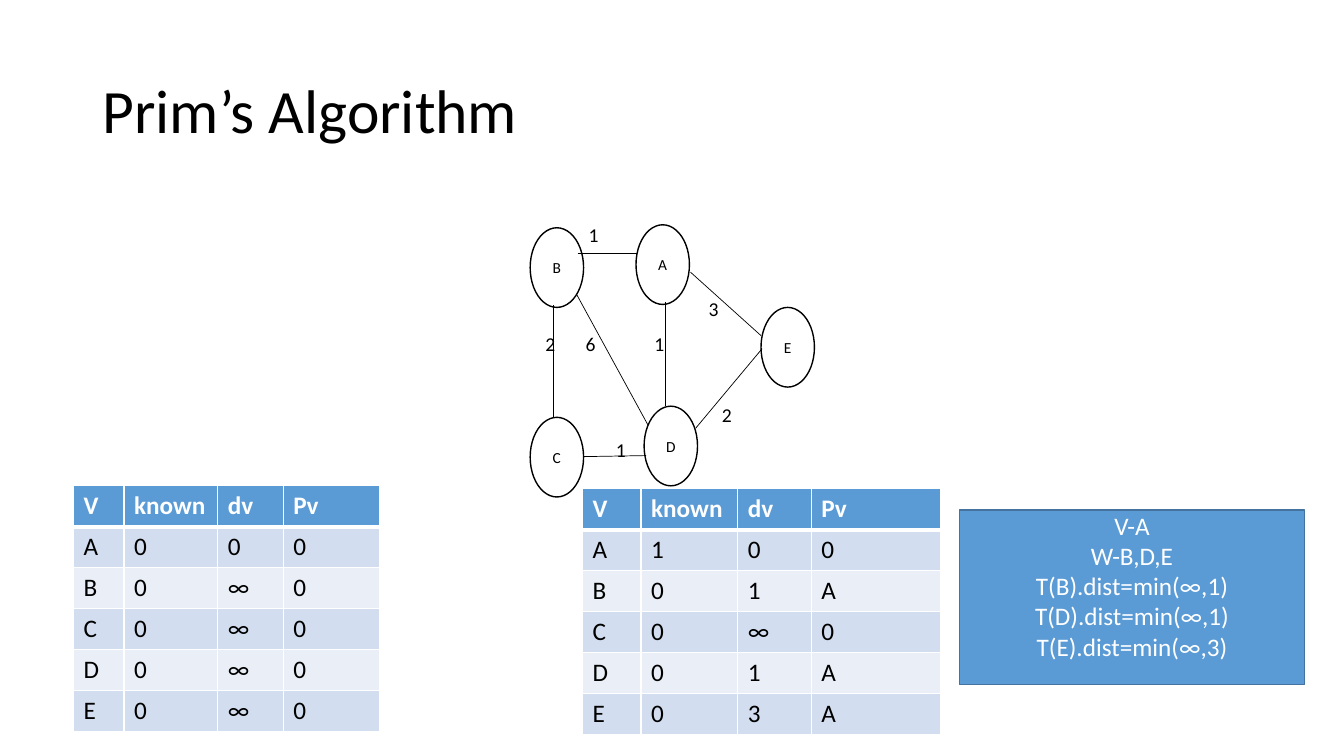
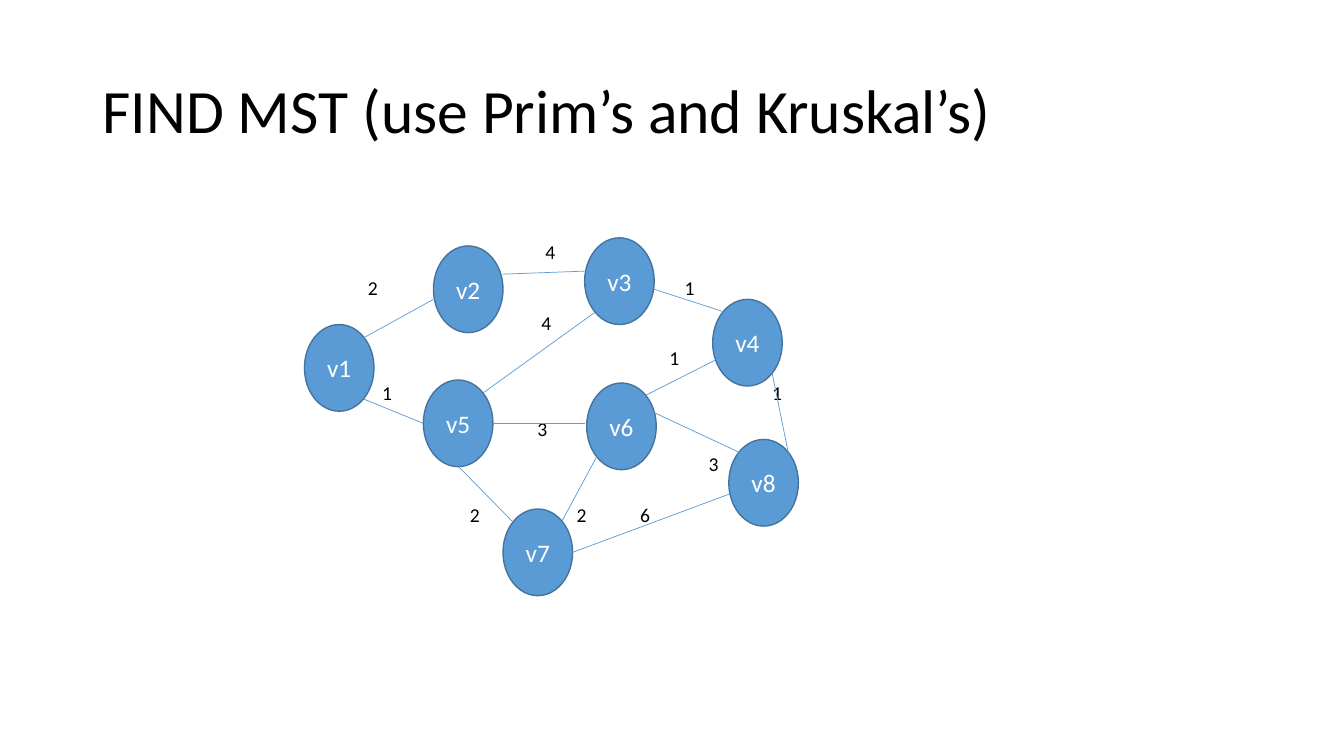
from typing import NamedTuple

from lxml.etree import SubElement
from pptx import Presentation
from pptx.dml.color import RGBColor
from pptx.enum.shapes import MSO_CONNECTOR, MSO_SHAPE
from pptx.enum.text import MSO_ANCHOR, PP_ALIGN
from pptx.oxml.ns import qn
from pptx.util import Inches, Pt

BLACK = RGBColor(0x00, 0x00, 0x00)
WHITE = RGBColor(0xFF, 0xFF, 0xFF)
BLUE = RGBColor(0x5B, 0x9B, 0xD5)
DARK_BLUE = RGBColor(0x43, 0x73, 0x9E)
BAND_DARK = RGBColor(0xD2, 0xDE, 0xEF)
BAND_LIGHT = RGBColor(0xEA, 0xEF, 0xF7)

FONT = "Calibri"
CELL = Inches(0.1)
COLUMNS, ROWS = 133.33, 75
TABLE_ROW = 4.06
WEIGHT_SIZE = 3


class Box(NamedTuple):
    """A region in grid columns and rows."""
    left: float
    top: float
    width: float
    height: float

    def inner(self, left, top, width, height):
        """Return a region placed relative to this one."""
        return Box(self.left + left, self.top + top, width, height)

    def lengths(self):
        """Return the region as slide lengths."""
        return [grid(value) for value in self]


class Edge(NamedTuple):
    """A weighted line and the centre of its weight."""
    start: tuple
    end: tuple
    weight: str
    weight_at: tuple


class GraphStyle(NamedTuple):
    """The look of the nodes and edges of a graph."""
    node_width: float
    node_height: float
    fill: RGBColor
    outline: RGBColor
    ink: RGBColor
    size: int
    edge: RGBColor


TITLE = Box(9.2, 4, 115, 14.5)
TRACE_GRAPH = Box(50, 20, 32, 30)
EXERCISE_GRAPH = Box(30, 20, 50, 40)
START_TABLE = Box(7.3, 48.2, 30.4, 24.3)
STEP_TABLE = Box(57.8, 48.5, 35.5, 24.3)
UPDATE_NOTE = Box(95.2, 50.6, 34.2, 17.3)

OUTLINED = GraphStyle(5.3, 7.9, WHITE, BLACK, BLACK, 11, BLACK)
FILLED = GraphStyle(6.9, 8.6, BLUE, DARK_BLUE, WHITE, 18, BLUE)

TRACE_NODES = {
    "B": (2.6, 2.6), "E": (25.5, 10.5), "C": (2.6, 21.4),
    "D": (13.9, 20.3), "A": (13.1, 2.3),
}
TRACE_EDGES = [
    Edge((7.3, 5.1), (13.2, 5.1), "1", (8.9, 3.3)),
    Edge((4.9, 10.3), (4.9, 21.5), "2", (4.6, 14.1)),
    Edge((7.9, 25.3), (14.1, 25.2), "1", (11.6, 24.6)),
    Edge((16, 10), (16, 20.3), "1", (15.4, 14.1)),
    Edge((18.5, 7), (25.5, 13.3), "3", (20.8, 10.6)),
    Edge((19, 22.5), (25.6, 14.6), "2", (22.1, 21.1)),
    Edge((7.2, 9.2), (14.3, 22.2), "6", (8.6, 14.1)),
]
EXERCISE_NODES = {
    "v2": (13, 4.4), "v3": (28, 3.6), "v5": (12, 17.7), "v1": (0.2, 12.2),
    "v4": (40.7, 9.7), "v6": (28.2, 18), "v7": (19.9, 30.5), "v8": (42.3, 23.6),
}
EXERCISE_EDGES = [
    Edge((6.1, 13.5), (13, 9.7), "2", (7, 8.5)),
    Edge((19.9, 7.2), (28, 6.9), "4", (24.6, 5)),
    Edge((34.9, 8.7), (41.7, 10.9), "1", (38.4, 8.5)),
    Edge((6.1, 19.6), (12, 22), "1", (8.4, 19)),
    Edge((18.9, 22), (28, 22), "3", (23.8, 22.5)),
    Edge((15.5, 26.3), (20.9, 31.8), "2", (17.1, 31.1)),
    Edge((29.2, 25.3), (25.7, 31.8), "2", (27.7, 31.1)),
    Edge((26.8, 34.8), (42.4, 29), "6", (34, 31.1)),
    Edge((34.6, 20.8), (43.4, 24.9), "3", (40.8, 26)),
    Edge((46.6, 17), (48.2, 24.9), "1", (47.1, 19)),
    Edge((29, 11), (17.9, 19), "4", (24.2, 12)),
    Edge((34.1, 19.2), (41.6, 15.4), "1", (36.9, 15.5)),
]

HEADER = ("V", "known", "dv", "Pv")
START_ROWS = ["A000", "B0∞0", "C0∞0", "D0∞0", "E0∞0"]
STEP_ROWS = ["A100", "B01A", "C0∞0", "D01A", "E03A"]
UPDATES = ["V-A", "W-B,D,E", "T(B).dist=min(∞,1)",
           "T(D).dist=min(∞,1)", "T(E).dist=min(∞,3)"]


def grid(cells):
    """Return the length of a number of grid cells."""
    return round(cells * CELL)


def write(frame, lines, size, ink, align=PP_ALIGN.CENTER, bold=False):
    """Write one paragraph for each line in the shared font."""
    frame.word_wrap = True
    for number, line in enumerate(lines):
        paragraph = frame.add_paragraph() if number else frame.paragraphs[0]
        paragraph.text = line
        paragraph.alignment = align
        paragraph.font.name = FONT
        paragraph.font.size = Pt(size)
        paragraph.font.bold = bold
        paragraph.font.color.rgb = ink


def add_title(slide, box, title):
    """Add the slide title."""
    frame = slide.shapes.add_textbox(*box.lengths()).text_frame
    frame.vertical_anchor = MSO_ANCHOR.MIDDLE
    write(frame, [title], 44, BLACK, PP_ALIGN.LEFT)
    frame.paragraphs[0].line_spacing = 0.9


def add_panel(slide, preset, box, fill, outline):
    """Add an outlined shape and return its text frame without insets."""
    panel = slide.shapes.add_shape(preset, *box.lengths())
    panel.shadow.inherit = False
    panel.fill.solid()
    panel.fill.fore_color.rgb = fill
    panel.line.color.rgb = outline
    panel.line.width = Pt(1)
    return without_insets(panel.text_frame)


def without_insets(frame):
    """Return the text frame with all insets removed."""
    frame.margin_left = frame.margin_right = 0
    frame.margin_top = frame.margin_bottom = 0
    return frame


def add_weight(slide, box, edge):
    """Add the weight of an edge, centred on its point."""
    across, down = (value - WEIGHT_SIZE / 2 for value in edge.weight_at)
    place = box.inner(across, down, WEIGHT_SIZE, WEIGHT_SIZE)
    frame = without_insets(slide.shapes.add_textbox(*place.lengths()).text_frame)
    frame.vertical_anchor = MSO_ANCHOR.MIDDLE
    write(frame, [edge.weight], 14, BLACK)


def add_edge(slide, box, edge, color):
    """Add the line of an edge."""
    ends = [grid(origin + value) for point in (edge.start, edge.end)
            for origin, value in zip(box[:2], point)]
    line = slide.shapes.add_connector(MSO_CONNECTOR.STRAIGHT, *ends)
    line.line.color.rgb = color
    line.line.width = Pt(0.5)
    SubElement(line._element.spPr, qn("a:effectLst"))


def add_graph(slide, box, nodes, edges, style):
    """Add a weighted graph inside the box."""
    for edge in edges:
        add_weight(slide, box, edge)
    for label, corner in nodes.items():
        place = box.inner(*corner, style.node_width, style.node_height)
        frame = add_panel(slide, MSO_SHAPE.OVAL, place, style.fill, style.outline)
        frame.vertical_anchor = MSO_ANCHOR.MIDDLE
        write(frame, [label], style.size, style.ink)
    for edge in edges:
        add_edge(slide, box, edge, style.edge)


def add_borders(cell, bottom):
    """Give a table cell white borders."""
    properties = cell._tc.get_or_add_tcPr()
    for side, width in (("L", 1), ("R", 1), ("T", 1), ("B", bottom)):
        border = SubElement(properties, qn(f"a:ln{side}"), w=str(Pt(width)))
        paint = SubElement(border, qn("a:solidFill"))
        SubElement(paint, qn("a:srgbClr"), val=str(WHITE))


def add_state_table(slide, box, columns, rows):
    """Add a table of the state of each vertex."""
    lines = [HEADER, *rows]
    table = slide.shapes.add_table(len(lines), len(columns), *box.lengths()).table
    for column, width in zip(table.columns, columns):
        column.width = grid(width)
    for number, line in enumerate(lines):
        table.rows[number].height = grid(TABLE_ROW)
        is_header = number == 0
        band = BAND_DARK if number % 2 else BAND_LIGHT
        for cell, value in zip(table.rows[number].cells, line):
            add_borders(cell, 3 if is_header or number == 1 and False else 1)
            cell.fill.solid()
            cell.fill.fore_color.rgb = BLUE if is_header else band
            write(cell.text_frame, [value], 18, WHITE if is_header else BLACK,
                  PP_ALIGN.LEFT, is_header)


def add_update_note(slide, box):
    """Add the note that lists the distance updates."""
    frame = add_panel(slide, MSO_SHAPE.RECTANGLE, box, BLUE, DARK_BLUE)
    frame.vertical_anchor = MSO_ANCHOR.TOP
    write(frame, UPDATES, 18, WHITE)


def build_trace(slide):
    """Build the slide that traces the first step."""
    add_title(slide, TITLE, "Prim’s Algorithm")
    add_graph(slide, TRACE_GRAPH, TRACE_NODES, TRACE_EDGES, OUTLINED)
    add_state_table(slide, START_TABLE, (5, 9.3, 6.5, 9.6), START_ROWS)
    add_state_table(slide, STEP_TABLE, (5.8, 9.6, 7.3, 12.8), STEP_ROWS)
    add_update_note(slide, UPDATE_NOTE)


def build_exercise(slide):
    """Build the slide that sets the exercise."""
    add_title(slide, TITLE, "FIND MST (use Prim’s and Kruskal’s)")
    add_graph(slide, EXERCISE_GRAPH, EXERCISE_NODES, EXERCISE_EDGES, FILLED)


def main():
    """Build and save the presentation."""
    deck = Presentation()
    deck.slide_width, deck.slide_height = grid(COLUMNS), grid(ROWS)
    for build in (build_trace, build_exercise):
        build(deck.slides.add_slide(deck.slide_layouts[6]))
    deck.save("out.pptx")


if __name__ == "__main__":
    main()
